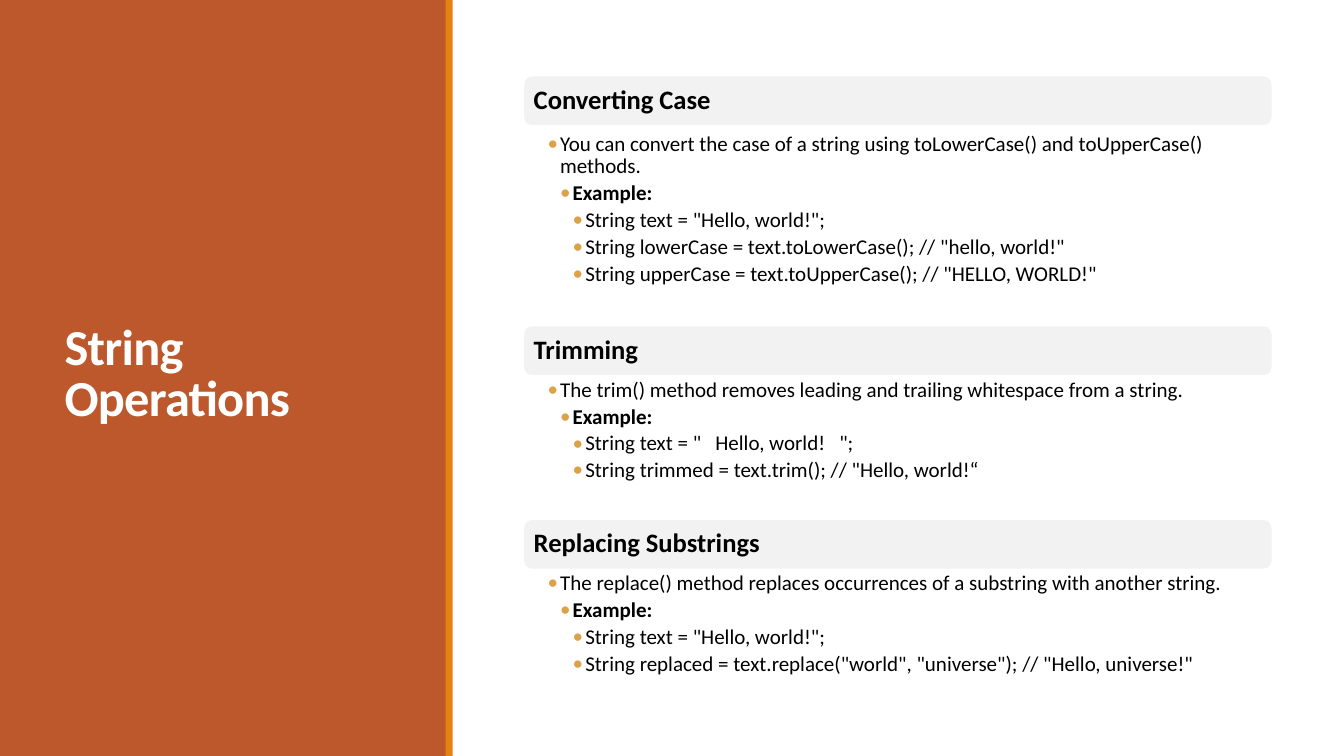
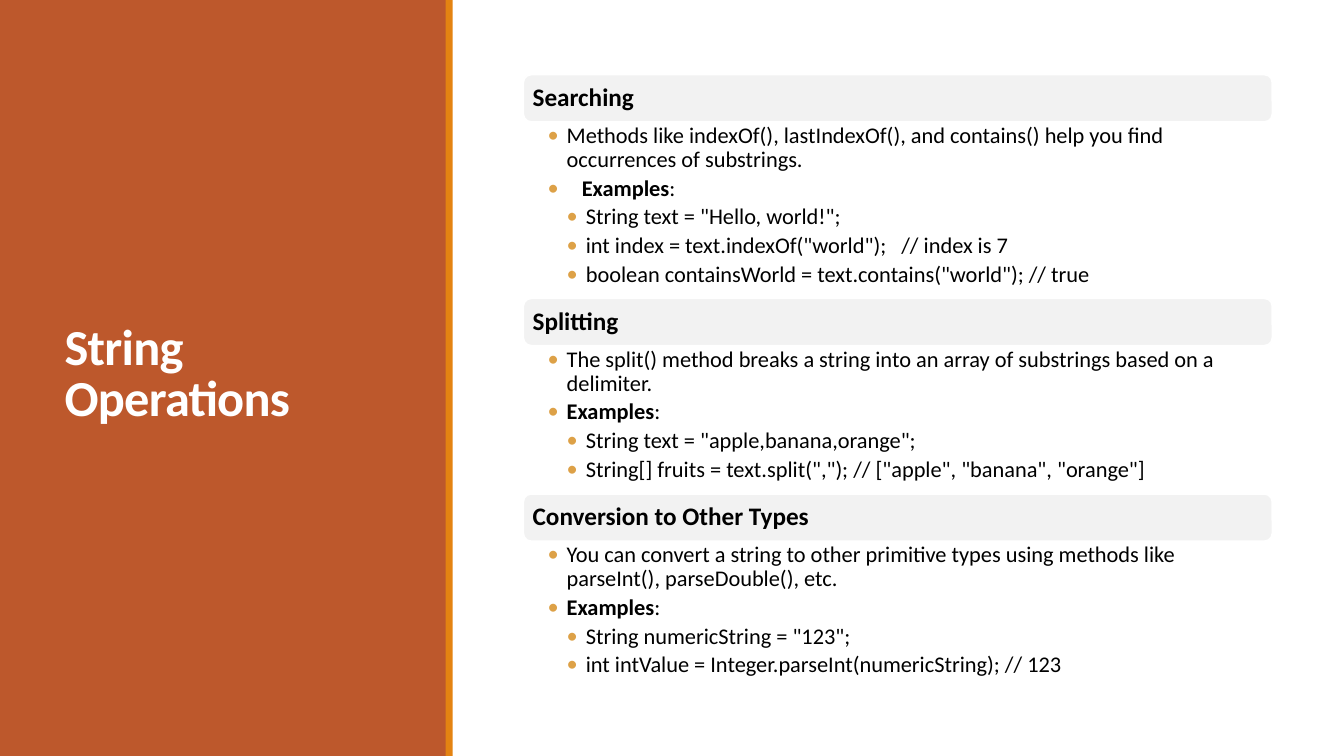
from dataclasses import dataclass

from lxml import etree
from pptx import Presentation
from pptx.dml.color import RGBColor
from pptx.enum import shapes, text
from pptx.oxml import ns
from pptx.util import Inches, Length, Pt


@dataclass(frozen=True)
class Theme:
    font: str = "Calibri"
    panel: str = "BD582C"
    stripe: str = "E48312"
    heading_fill: str = "F2F2F2"
    bullet: str = "DDA147"
    light: str = "FFFFFF"
    dark: str = "000000"
    title_size: int = 36


@dataclass(frozen=True)
class Item:
    """One bullet: its level, an optional bold start, and plain text."""
    level: int
    plain: str = ""
    bold: str = ""
    extra_indent: float = 0


@dataclass(frozen=True)
class Section:
    heading: str
    list_height: float
    items: tuple[Item, ...]
    list_offset: float = 0


@dataclass(frozen=True)
class SectionStyle:
    """Sizes in inches, type in points."""
    top: float
    heading_height: float
    heading_size: int
    heading_inset: float
    list_size: int
    list_insets: tuple[float, float, float, float]
    indent_step: float


@dataclass(frozen=True)
class Page:
    title: str
    style: SectionStyle
    sections: tuple[Section, ...]


THEME = Theme()
SLIDE_WIDTH, SLIDE_HEIGHT = Inches(13.33), Inches(7.5)
COLUMN_LEFT, COLUMN_WIDTH = Inches(5.19), Inches(7.43)
COMPARISON_LAYOUT = 4
LIST_PLACEHOLDERS = (1, 2, 3)
SPARE_PLACEHOLDER = 4

WIDE = SectionStyle(0.75, 0.5, 19, 0.08, 15, (0.24, 0.03, 0.15, 0.03), 0.125)
TIGHT = SectionStyle(0.74, 0.47, 18, 0.07, 16, (0.24, 0.02, 0.12, 0.02), 0.19)

PAGES = (
    Page("String Operations", WIDE, (
        Section("Converting Case", 1.98, (
            Item(1, "You can convert the case of a string using toLowerCase() and toUpperCase() methods."),
            Item(2, bold="Example:"),
            Item(3, 'String text = "Hello, world!";'),
            Item(3, 'String lowerCase = text.toLowerCase(); // "hello, world!"'),
            Item(3, 'String upperCase = text.toUpperCase(); // "HELLO, WORLD!"'),
        ), list_offset=0.04),
        Section("Trimming", 1.42, (
            Item(1, "The trim() method removes leading and trailing whitespace from a string."),
            Item(2, bold="Example:"),
            Item(3, 'String text = "   Hello, world!   ";'),
            Item(3, 'String trimmed = text.trim(); // "Hello, world!“'),
        )),
        Section("Replacing Substrings", 1.14, (
            Item(1, "The replace() method replaces occurrences of a substring with another string."),
            Item(2, bold="Example:"),
            Item(3, 'String text = "Hello, world!";'),
            Item(3, 'String replaced = text.replace("world", "universe"); // "Hello, universe!"'),
        )),
    )),
    Page("String Operations", TIGHT, (
        Section("Searching", 1.75, (
            Item(1, "Methods like indexOf(), lastIndexOf(), and contains() help you find occurrences of substrings."),
            Item(1, ":", bold="Examples", extra_indent=0.15),
            Item(2, 'String text = "Hello, world!";'),
            Item(2, 'int index = text.indexOf("world");   // index is 7'),
            Item(2, 'boolean containsWorld = text.contains("world"); // true'),
        )),
        Section("Splitting", 1.47, (
            Item(1, "The split() method breaks a string into an array of substrings based on a delimiter."),
            Item(1, ":", bold="Examples"),
            Item(2, 'String text = "apple,banana,orange";'),
            Item(2, 'String[] fruits = text.split(","); // ["apple", "banana", "orange"]'),
        )),
        Section("Conversion to Other Types", 1.47, (
            Item(1, "You can convert a string to other primitive types using methods like parseInt(), parseDouble(), etc."),
            Item(1, ":", bold="Examples"),
            Item(2, 'String numericString = "123";'),
            Item(2, "int intValue = Integer.parseInt(numericString); // 123"),
        )),
    )),
)


def set_format(target, **values) -> None:
    for name, value in values.items():
        setattr(target, name, value)


def place(shape, left: Length, top: Length, width: Length, height: Length) -> None:
    set_format(shape, left=left, top=top, width=width, height=height)


def set_frame(frame, anchor, insets: tuple[float, float, float, float]) -> None:
    """Insets are left, top, right, bottom in inches."""
    sides = ("margin_left", "margin_top", "margin_right", "margin_bottom")
    set_format(frame, word_wrap=True, auto_size=text.MSO_AUTO_SIZE.NONE, vertical_anchor=anchor,
               **{side: Inches(inset) for side, inset in zip(sides, insets)})


def add_run(paragraph, words: str, size: int, color: str, bold: bool):
    run = paragraph.add_run()
    run.text = words
    set_format(run.font, name=THEME.font, size=Pt(size), bold=bold)
    run.font.color.rgb = RGBColor.from_string(color)
    return run


def add_block(slide, kind, box: tuple[Length, ...], fill: str):
    block = slide.shapes.add_shape(kind, *box)
    block.shadow.inherit = False
    block.fill.solid()
    block.fill.fore_color.rgb = RGBColor.from_string(fill)
    block.line.fill.background()
    return block


def decorate_layout(layout, slide) -> None:
    """Give the layout the side panel, its stripe and the title position."""
    bands = ((Inches(0), Inches(4.43), THEME.panel), (Inches(4.42), Inches(0.07), THEME.stripe))
    for left, width, fill in bands:
        band = add_block(slide, shapes.MSO_SHAPE.RECTANGLE, (left, Inches(0), width, SLIDE_HEIGHT), fill)
        layout.shapes.element.append(band.element)
    title = next(shape for shape in layout.placeholders
                 if shape.placeholder_format.type == shapes.PP_PLACEHOLDER.TITLE)
    place(title, Inches(0.54), Inches(0.57), Inches(3.37), Inches(6.31))


def write_title(slide, words: str) -> None:
    frame = slide.shapes.title.text_frame
    set_frame(frame, text.MSO_ANCHOR.MIDDLE, (0.1, 0.05, 0.1, 0.05))
    paragraph = frame.paragraphs[0]
    set_format(paragraph, alignment=text.PP_ALIGN.LEFT, line_spacing=0.85, space_before=Pt(0))
    run = add_run(paragraph, words, THEME.title_size, THEME.light, True)
    run.font._element.set("spc", "-50")


def add_heading(slide, words: str, top: float, style: SectionStyle) -> None:
    box = (COLUMN_LEFT, Inches(top), COLUMN_WIDTH, Inches(style.heading_height))
    heading = add_block(slide, shapes.MSO_SHAPE.ROUNDED_RECTANGLE, box, THEME.heading_fill)
    heading.line.color.rgb = RGBColor.from_string(THEME.light)
    heading.line.width = Pt(1.25)
    set_frame(heading.text_frame, text.MSO_ANCHOR.MIDDLE, (style.heading_inset,) * 4)
    paragraph = heading.text_frame.paragraphs[0]
    set_format(paragraph, alignment=text.PP_ALIGN.LEFT, line_spacing=0.9)
    add_run(paragraph, words, style.heading_size, THEME.dark, True)


def set_bullet(paragraph, indent: float, hanging: float) -> None:
    properties = paragraph._p.get_or_add_pPr()
    properties.set("marL", str(Inches(indent)))
    properties.set("indent", str(-Inches(hanging)))
    color = etree.SubElement(properties, ns.qn("a:buClr"))
    etree.SubElement(color, ns.qn("a:srgbClr"), val=THEME.bullet)
    etree.SubElement(properties, ns.qn("a:buFont"), typeface=THEME.font)
    etree.SubElement(properties, ns.qn("a:buChar"), char="•")


def write_list(placeholder, section: Section, top: float, style: SectionStyle) -> None:
    place(placeholder, COLUMN_LEFT, Inches(top + section.list_offset), COLUMN_WIDTH,
          Inches(section.list_height - section.list_offset))
    frame = placeholder.text_frame
    set_frame(frame, text.MSO_ANCHOR.TOP, style.list_insets)
    for number, item in enumerate(section.items):
        paragraph = frame.add_paragraph() if number else frame.paragraphs[0]
        set_format(paragraph, level=item.level, alignment=text.PP_ALIGN.LEFT, line_spacing=0.9,
                   space_before=Pt(0), space_after=Pt(0.2 * style.list_size))
        set_bullet(paragraph, item.level * style.indent_step + item.extra_indent,
                   style.indent_step + item.extra_indent)
        for words, bold in ((item.bold, True), (item.plain, False)):
            if words:
                add_run(paragraph, words, style.list_size, THEME.dark, bold)


def fill_slide(slide, page: Page) -> None:
    write_title(slide, page.title)
    placeholders = {shape.placeholder_format.idx: shape for shape in slide.placeholders}
    spare = placeholders[SPARE_PLACEHOLDER].element
    spare.getparent().remove(spare)
    top = page.style.top
    for index, section in zip(LIST_PLACEHOLDERS, page.sections):
        add_heading(slide, section.heading, top, page.style)
        top += page.style.heading_height
        write_list(placeholders[index], section, top, page.style)
        top += section.list_height


def main() -> None:
    presentation = Presentation()
    set_format(presentation, slide_width=SLIDE_WIDTH, slide_height=SLIDE_HEIGHT)
    layout = presentation.slide_layouts[COMPARISON_LAYOUT]
    slides = [presentation.slides.add_slide(layout) for _ in PAGES]
    decorate_layout(layout, slides[0])
    for slide, page in zip(slides, PAGES):
        fill_slide(slide, page)
    presentation.save("out.pptx")


if __name__ == "__main__":
    main()
